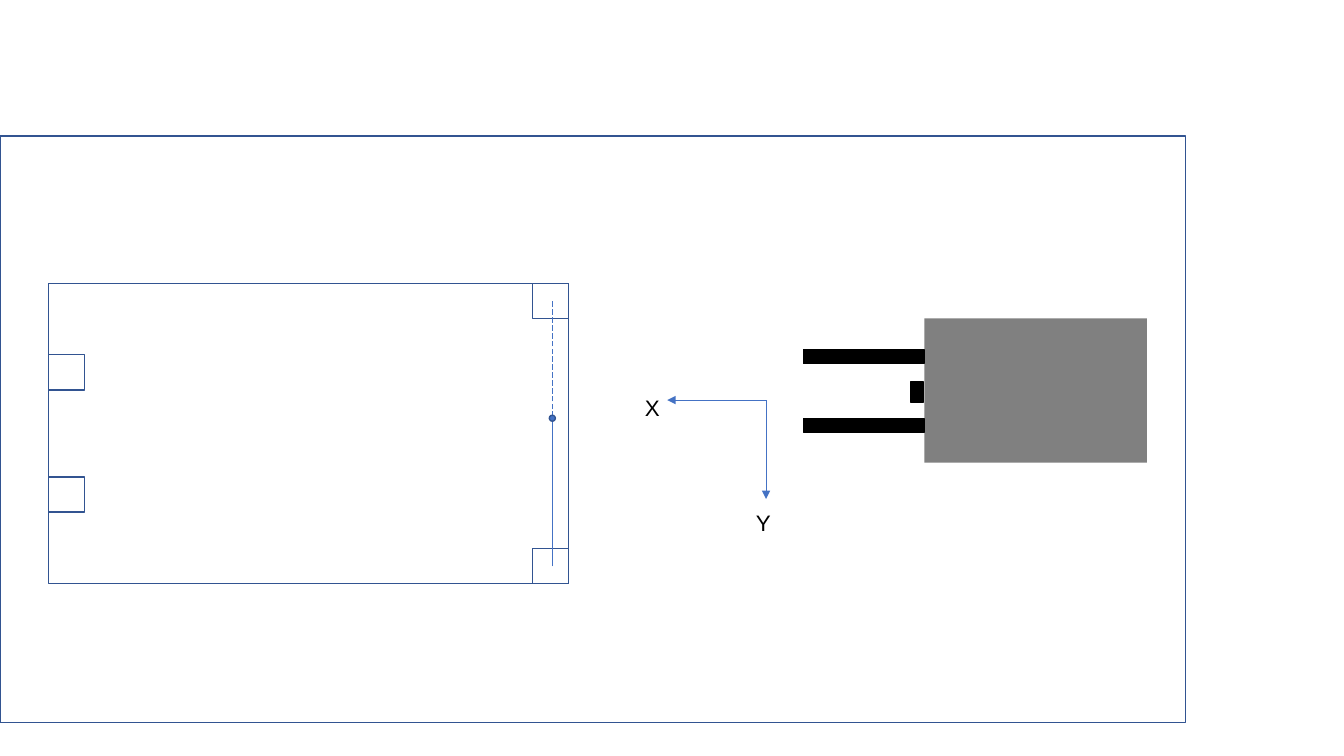
from pptx import Presentation
from pptx.dml.color import RGBColor
from pptx.enum.dml import MSO_LINE
from pptx.enum.shapes import MSO_CONNECTOR, MSO_SHAPE
from pptx.oxml.ns import qn
from pptx.util import Pt
from lxml.etree import SubElement

NAVY = RGBColor(0x32, 0x54, 0x91)
BLUE = RGBColor(0x44, 0x72, 0xC4)
GREY = RGBColor(0x80, 0x80, 0x80)
BLACK = RGBColor(0, 0, 0)

deck = Presentation()
deck.slide_width, deck.slide_height = Pt(960), Pt(540)
slide = deck.slides.add_slide(deck.slide_layouts[6])


def add_box(left, top, width, height, fill=None, line=None, kind=MSO_SHAPE.RECTANGLE):
    box = slide.shapes.add_shape(kind, Pt(left), Pt(top), Pt(width), Pt(height))
    box.shadow.inherit = False
    if fill is None:
        box.fill.background()
    else:
        box.fill.solid()
        box.fill.fore_color.rgb = fill
    if line is None:
        box.line.fill.background()
    else:
        box.line.color.rgb = line
        box.line.width = Pt(1)


def add_line(x1, y1, x2, y2, dash=None, arrow=False):
    link = slide.shapes.add_connector(
        MSO_CONNECTOR.STRAIGHT, Pt(x1), Pt(y1), Pt(x2), Pt(y2))
    link.line.color.rgb = BLUE
    link.line.width = Pt(0.5)
    if dash:
        link.line.dash_style = dash
    if arrow:
        SubElement(link.line._get_or_add_ln(), qn("a:tailEnd"), type="triangle")
    SubElement(link._element.spPr, qn("a:effectLst"))


# Forklift: body, two forks and sensor
add_box(660.2, 227.5, 159.1, 103, GREY)
for top in (249.8, 298.8):
    add_box(573.8, top, 86.4, 10.1, BLACK, BLACK)
add_box(650.2, 272.9, 9.4, 14.4, BLACK, BLACK)

# Pallet with four feet
left, top, width, height = 34.6, 202.3, 371.5, 214.6
foot_w, foot_h = 25.9, 25.2
add_box(left, top, width, height, line=NAVY)
right = left + width - foot_w
for x, y in ((right, top + height - foot_h), (right, top),
             (left, 340.6), (left, 253.4)):
    add_box(x, y, foot_w, foot_h, line=NAVY)

# Line between the near feet, with its middle point
add_line(394.6, 404.6, 394.6, 214.6, dash=MSO_LINE.LONG_DASH)
add_line(394.6, 403.2, 394.6, 297.4)
add_box(392.4, 296.6, 4.3, 4.3, BLUE, NAVY, MSO_SHAPE.OVAL)

# Axes
origin_x, origin_y, reach = 547.2, 285.8, 70.6
add_line(origin_x, origin_y, origin_x, origin_y + reach, arrow=True)
add_line(origin_x, origin_y, origin_x - reach, origin_y, arrow=True)
for text, x, y, wide in (("X", 453.6, 277.9, 26.6), ("Y", 532.8, 360, 30.2)):
    label = slide.shapes.add_textbox(Pt(x), Pt(y), Pt(wide), Pt(26.6))
    label.text_frame.word_wrap = True
    para = label.text_frame.paragraphs[0]
    para.text = text
    para.font.name = "Arial"
    para.font.size = Pt(16)
    para.font.color.rgb = BLACK

# Outer frame
add_box(0, 97.2, 846.7, 419, line=NAVY)

deck.save("out.pptx")
